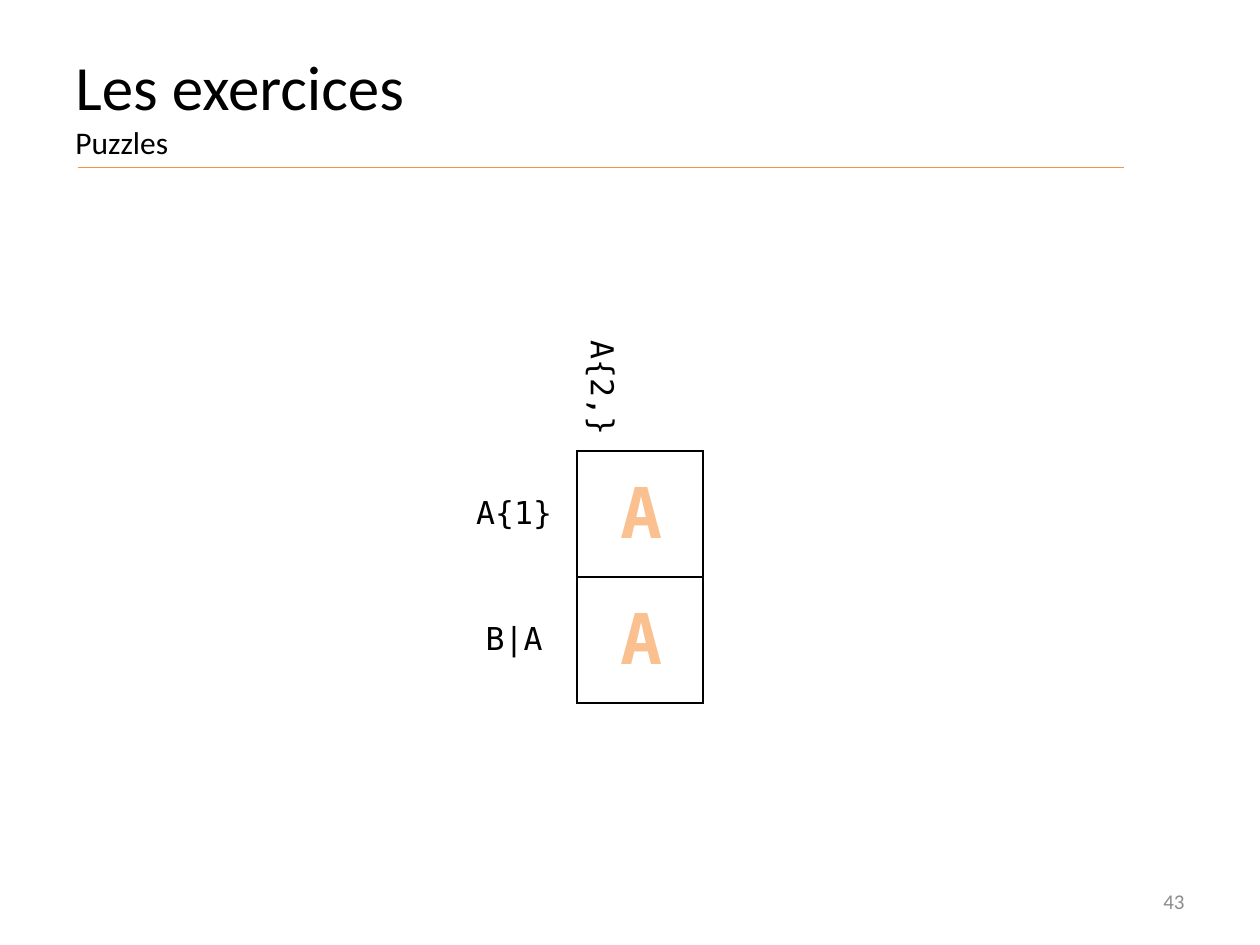
from typing import NamedTuple

from pptx import Presentation
from pptx.dml.color import RGBColor
from pptx.enum.shapes import MSO_CONNECTOR
from pptx.enum.text import MSO_ANCHOR, MSO_AUTO_SIZE, PP_ALIGN
from pptx.oxml import parse_xml
from pptx.oxml.ns import nsdecls, qn
from pptx.util import Inches, Pt

BLACK = RGBColor(0x00, 0x00, 0x00)
GREY = RGBColor(0x8C, 0x8C, 0x8C)
ORANGE = RGBColor(0xF6, 0x92, 0x40)
PEACH = RGBColor(0xFA, 0xC0, 0x90)
SANS = "Calibri"
MONO = "DejaVu Sans Mono"
SIDES = ("L", "R", "T", "B")
GRID_LEFT, GRID_TOP, CELL_SIZE = 3.58, 2.58, 1


class Clue(NamedTuple):
    row: int
    column: int
    regex: str
    borders: str
    vertical: bool = False


CLUES = [
    Clue(0, 1, "A{2,}", "B", vertical=True),
    Clue(1, 0, "A{1}", "R"),
    Clue(2, 0, "B|A", "R"),
]
ANSWERS = ["A", "A"]


def style_font(font, name: str, size: float, color: RGBColor, bold: bool = False) -> None:
    font.name, font.size, font.bold = name, Pt(size), bold
    font.color.rgb = color


def style_cell(cell, borders: str) -> None:
    """Draw black lines on the given sides only, and leave the cell unfilled."""
    properties = cell._tc.get_or_add_tcPr()
    for side in SIDES:
        paint = (f'<a:solidFill><a:srgbClr val="{BLACK}"/></a:solidFill>'
                 if side in borders else "<a:noFill/>")
        properties.append(parse_xml(
            f'<a:ln{side} {nsdecls("a")} w="{Pt(1)}">{paint}</a:ln{side}>'))
    cell.fill.background()


def write_clue(cell, clue: Clue) -> None:
    cell.text = clue.regex
    cell.vertical_anchor = MSO_ANCHOR.MIDDLE
    if clue.vertical:
        cell._tc.get_or_add_tcPr().set("vert", "vert")
    paragraph = cell.text_frame.paragraphs[0]
    paragraph.alignment = PP_ALIGN.CENTER
    style_font(paragraph.font, MONO, 18, BLACK)


def add_answer(slide, row: int, letter: str) -> None:
    box = slide.shapes.add_textbox(Inches(4.83), Inches(GRID_TOP + 0.09 + row * CELL_SIZE),
                                   Inches(0.51), Inches(0.77))
    frame = box.text_frame
    frame.word_wrap = False
    frame.auto_size = MSO_AUTO_SIZE.SHAPE_TO_FIT_TEXT
    paragraph = frame.paragraphs[0]
    paragraph.text = letter
    paragraph.alignment = PP_ALIGN.CENTER
    style_font(paragraph.font, MONO, 40, PEACH, bold=True)


def add_heading(slide) -> None:
    frame = slide.shapes.add_textbox(Inches(0.5), Inches(0.3), Inches(9), Inches(1.25)).text_frame
    frame.word_wrap = True
    frame.margin_top = Inches(0.08)
    paragraph = frame.paragraphs[0]
    title = paragraph.add_run()
    title.text = "Les exercices"
    style_font(title.font, SANS, 36, BLACK)
    paragraph.add_line_break()
    subtitle = paragraph.add_run()
    subtitle.text = "Puzzles"
    style_font(subtitle.font, SANS, 18, BLACK)

    rule = slide.shapes.add_connector(MSO_CONNECTOR.STRAIGHT, Inches(0.62), Inches(1.33),
                                      Inches(8.92), Inches(1.33))
    rule.line.color.rgb = ORANGE
    rule.line.width = Pt(0.75)
    rule._element.spPr.append(parse_xml(f'<a:effectLst {nsdecls("a")}/>'))


def add_page_number(slide) -> None:
    frame = slide.shapes.add_textbox(Inches(7.17), Inches(6.95), Inches(2.33), Inches(0.4)).text_frame
    frame.word_wrap = True
    frame.vertical_anchor = MSO_ANCHOR.MIDDLE
    paragraph = frame.paragraphs[0]
    paragraph.text = "43"
    paragraph.alignment = PP_ALIGN.RIGHT
    style_font(paragraph.font, SANS, 12, GREY)


def add_puzzle(slide) -> None:
    rows, columns = 3, 2
    grid = slide.shapes.add_table(rows, columns, Inches(GRID_LEFT), Inches(GRID_TOP),
                                  Inches(columns * CELL_SIZE), Inches(rows * CELL_SIZE)).table
    grid.first_row = grid.horz_banding = False
    style_cell(grid.cell(0, 0), "")
    for clue in CLUES:
        cell = grid.cell(clue.row, clue.column)
        style_cell(cell, clue.borders)
        write_clue(cell, clue)
    for row, letter in enumerate(ANSWERS, start=1):
        style_cell(grid.cell(row, 1), "LRTB")
        add_answer(slide, row, letter)


def main() -> None:
    presentation = Presentation()
    presentation.slide_width, presentation.slide_height = Inches(10), Inches(7.5)
    slide = presentation.slides.add_slide(presentation.slide_layouts[6])
    add_page_number(slide)
    add_heading(slide)
    add_puzzle(slide)
    presentation.save("out.pptx")


if __name__ == "__main__":
    main()
